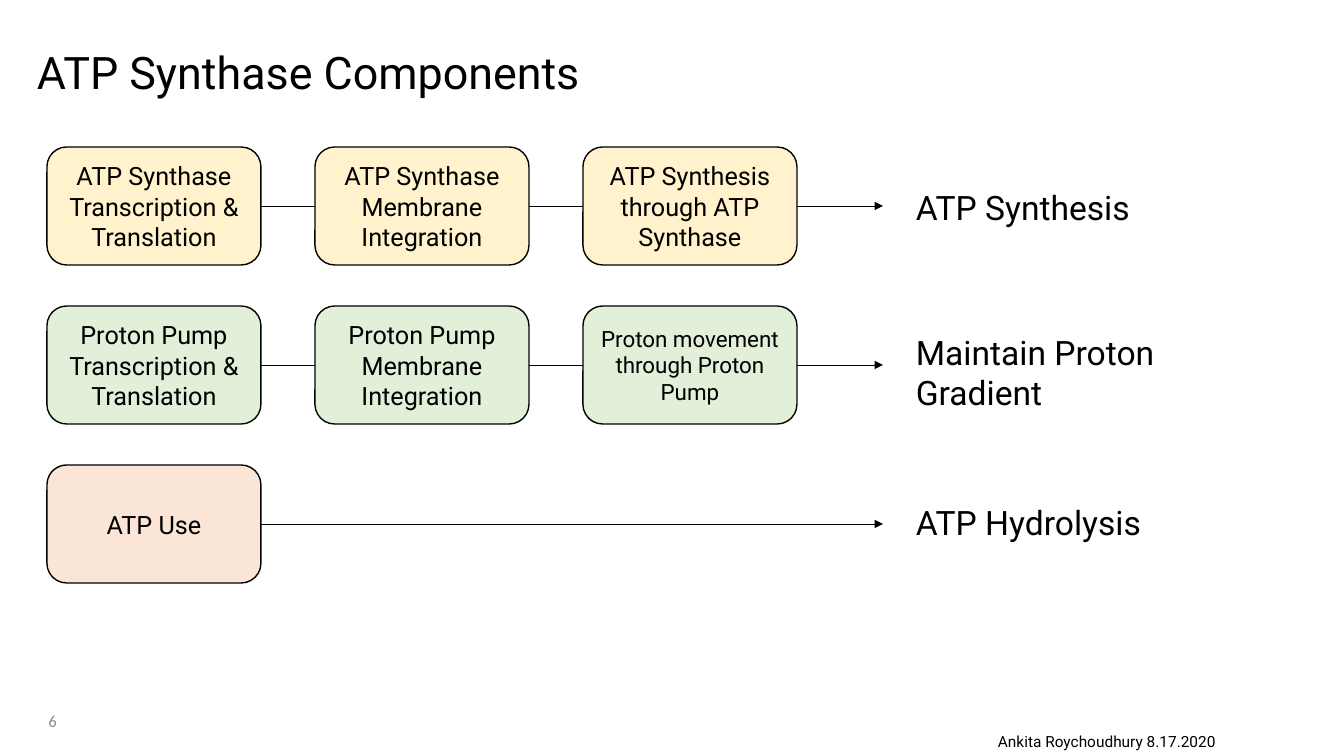
from lxml.etree import SubElement
from pptx import Presentation
from pptx.dml.color import RGBColor
from pptx.enum.shapes import MSO_CONNECTOR, MSO_SHAPE
from pptx.enum.text import MSO_ANCHOR, MSO_AUTO_SIZE, PP_ALIGN
from pptx.oxml.ns import qn
from pptx.util import Pt

TITLE = "ATP Synthase Components"
FOOTER = "Ankita Roychoudhury 8.17.2020"
PAGE_NUMBER = "6"
# Each pathway: fill name, steps as (text, size name), outcome, outcome box (top, width, height)
PATHWAYS = [
    ("synthesis",
     [("ATP Synthase Transcription & Translation", "step"),
      ("ATP Synthase Membrane Integration", "step"),
      ("ATP Synthesis through ATP Synthase", "step")],
     "ATP Synthesis", (182, 237, 50)),
    ("gradient",
     [("Proton Pump Transcription & Translation", "step"),
      ("Proton Pump Membrane Integration", "step"),
      ("Proton movement through Proton Pump", "small_step")],
     "Maintain Proton Gradient", (327, 275, 92)),
    ("hydrolysis", [("ATP Use", "step")], "ATP Hydrolysis", (497, 275, 50)),
]

THEME = {
    "font": "Roboto", "number_font": "Calibri",
    "ink": "000000", "muted": "8C8C8C",
    "synthesis": "FFF2CC", "gradient": "E2F0D9", "hydrolysis": "FBE5D6",
    "title": 32, "outcome": 24, "step": 18, "small_step": 16, "number": 12, "footer": 11,
    "outline": 1, "link": 0.5,
}

SLIDE_W, SLIDE_H = 1344, 756
STEP_LEFT, STEP_TOP, STEP_W, STEP_H = 47, 147, 214, 118
COLUMN_PITCH, ROW_PITCH = 268, 159
ARROW_END, OUTCOME_LEFT = 883, 906
LEFT_SIDE, RIGHT_SIDE = 1, 3


def px(length):
    return round(length * 914400 / 100.8)


def color(name):
    return RGBColor.from_string(THEME[name])


def write(frame, text, size, ink="ink", font="font", align=PP_ALIGN.LEFT,
          anchor=MSO_ANCHOR.TOP, wrap=True):
    frame.word_wrap = wrap
    frame.vertical_anchor = anchor
    paragraph = frame.paragraphs[0]
    paragraph.alignment = align
    run = paragraph.add_run()
    run.text = text
    run.font.name = THEME[font]
    run.font.size = Pt(THEME[size])
    run.font.color.rgb = color(ink)
    return paragraph


def add_text(slide, box, text, size, **style):
    frame = slide.shapes.add_textbox(*map(px, box)).text_frame
    frame.auto_size = MSO_AUTO_SIZE.NONE
    return write(frame, text, size, **style)


def add_step(slide, row, column, text, size, fill):
    step = slide.shapes.add_shape(
        MSO_SHAPE.ROUNDED_RECTANGLE,
        px(STEP_LEFT + column * COLUMN_PITCH), px(STEP_TOP + row * ROW_PITCH),
        px(STEP_W), px(STEP_H))
    step.shadow.inherit = False
    step.fill.solid()
    step.fill.fore_color.rgb = color(fill)
    step.line.color.rgb = color("ink")
    step.line.width = Pt(THEME["outline"])
    write(step.text_frame, text, size, align=PP_ALIGN.CENTER, anchor=MSO_ANCHOR.MIDDLE)
    return step


def add_link(slide, start, end=None):
    """Join two steps, or draw an arrow from the last step to its outcome."""
    middle = start.top + start.height // 2
    link = slide.shapes.add_connector(
        MSO_CONNECTOR.STRAIGHT, start.left + start.width, middle, px(ARROW_END), middle)
    link.begin_connect(start, RIGHT_SIDE)
    if end is not None:
        link.end_connect(end, LEFT_SIDE)
    link.line.color.rgb = color("ink")
    link.line.width = Pt(THEME["link"])
    if end is None:
        SubElement(link.line._get_or_add_ln(), qn("a:tailEnd"), type="triangle")
    SubElement(link._element.spPr, qn("a:effectLst"))


def main():
    deck = Presentation()
    deck.slide_width, deck.slide_height = px(SLIDE_W), px(SLIDE_H)
    slide = deck.slides.add_slide(deck.slide_layouts[6])

    title = add_text(slide, (27, 2, 1159, 146), TITLE, "title", anchor=MSO_ANCHOR.MIDDLE)
    title.line_spacing = 0.9

    for row, (fill, steps, outcome, (top, width, height)) in enumerate(PATHWAYS):
        boxes = [add_step(slide, row, column, text, size, fill)
                 for column, (text, size) in enumerate(steps)]
        for start, end in zip(boxes, boxes[1:] + [None]):
            add_link(slide, start, end)
        add_text(slide, (OUTCOME_LEFT, top, width, height), outcome, "outcome")

    add_text(slide, (988, 727, 245, 29), FOOTER, "footer", wrap=False)
    add_text(slide, (7, 701, 60, 40), PAGE_NUMBER, "number", ink="muted",
             font="number_font", align=PP_ALIGN.RIGHT, anchor=MSO_ANCHOR.MIDDLE)
    deck.save("out.pptx")


if __name__ == "__main__":
    main()
